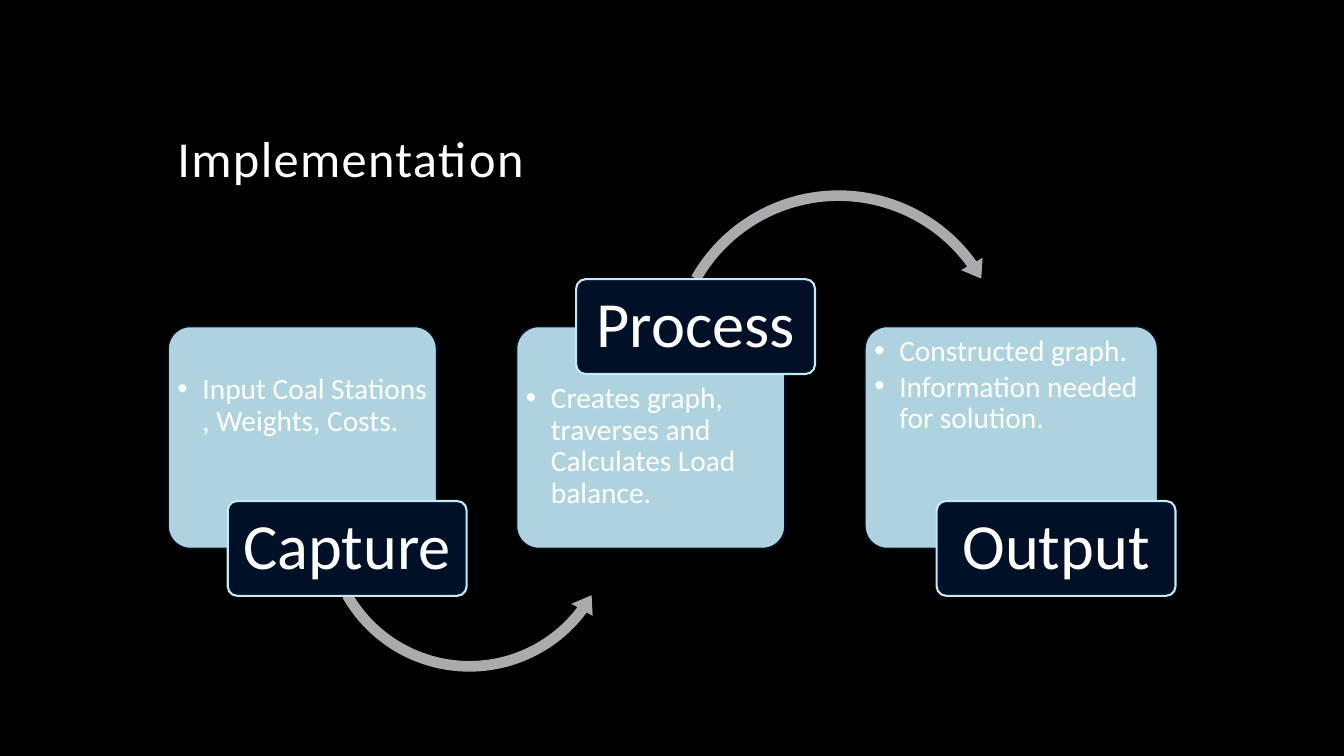
"""Build the Implementation slide: three linked steps on black."""
from lxml.etree import SubElement
from pptx import Presentation
from pptx.dml.color import RGBColor
from pptx.enum.shapes import MSO_SHAPE
from pptx.enum.text import MSO_ANCHOR, PP_ALIGN
from pptx.oxml.ns import qn
from pptx.util import Cm, Pt

TITLE = "Implementation"
LEFT_ARC = (MSO_SHAPE.LEFT_CIRCULAR_ARROW, 7.98, 9.4, 7.7,
            (0.035, 4.277, 22.032, 90.245, 0.04))
RIGHT_ARC = (MSO_SHAPE.CIRCULAR_ARROW, 16.69, 4.62, 8.89,
             (0.03, 3.657, 194.588, 125.755, 0.035))
STEPS = [
    {"name": "Capture", "items": ["Input Coal Stations , Weights, Costs."],
     "width": 6.76, "drop": 0.96, "high": False, "arc": LEFT_ARC},
    {"name": "Process",
     "items": ["Creates graph, traverses and Calculates Load balance."],
     "width": 6.76, "drop": 1.19, "high": True, "arc": RIGHT_ARC},
    {"name": "Output",
     "items": ["Constructed graph.", "Information needed for solution."],
     "width": 7.37, "drop": 0, "high": False, "arc": None},
]

BLACK = RGBColor(0x00, 0x00, 0x00)
WHITE = RGBColor(0xFF, 0xFF, 0xFF)
NAVY = RGBColor(0x00, 0x10, 0x27)
PALE = RGBColor(0xC1, 0xEB, 0xF7)
GREY = RGBColor(0xAB, 0xAB, 0xAD)

LEFT, PITCH = 4.24, 8.78
TOP, HEIGHT = 8.23, 5.59
TAG_W, TAG_H, TAG_DX = 6.02, 2.39, 1.88


def add_run(para, text, size):
    para.line_spacing = 0.9
    run = para.add_run()
    run.text = text
    run.font.name = "Calibri"
    run.font.size = Pt(size)
    run.font.color.rgb = WHITE
    return run


def set_frame(frame, anchor, side, top, base):
    frame.word_wrap = True
    frame.vertical_anchor = anchor
    frame.margin_left = frame.margin_right = Cm(side)
    frame.margin_top, frame.margin_bottom = Cm(top), Cm(base)


def add_form(slide, kind, rect, fill, line=None, weight=1):
    form = slide.shapes.add_shape(kind, *map(Cm, rect))
    form.shadow.inherit = False
    form.fill.solid()
    form.fill.fore_color.rgb = fill
    if line is None:
        form.line.fill.background()
    else:
        form.line.color.rgb = line
        form.line.width = Pt(weight)
    return form


def add_card(slide, x, step):
    rect = (x, TOP, step["width"], HEIGHT)
    card = add_form(slide, MSO_SHAPE.ROUNDED_RECTANGLE, rect, PALE, NAVY)
    card.adjustments[0] = 0.1
    tint = card.fill._xPr.find(qn("a:solidFill"))[0]
    SubElement(tint, qn("a:alpha")).set("val", "90000")
    frame = card.text_frame
    set_frame(frame, MSO_ANCHOR.TOP, 0.07, 0.07 + step["drop"], 0)
    for i, item in enumerate(step["items"]):
        para = frame.add_paragraph() if i else frame.paragraphs[0]
        para.alignment = PP_ALIGN.LEFT
        para.space_after = Pt(3)
        props = para._p.get_or_add_pPr()
        props.set("marL", str(Cm(0.63)))
        props.set("indent", str(-Cm(0.63)))
        SubElement(props, qn("a:buFont")).set("typeface", "Arial")
        SubElement(props, qn("a:buChar")).set("char", "•")
        add_run(para, item, 21)


def add_arc(slide, kind, x, y, size, values):
    arc = add_form(slide, kind, (x, y, size, size), GREY)
    for i, value in enumerate(values):
        arc.adjustments[i] = value


def add_tag(slide, x, step):
    edge = TOP if step["high"] else TOP + HEIGHT
    rect = (x + step["width"] / 2 - TAG_DX, edge - TAG_H / 2, TAG_W, TAG_H)
    tag = add_form(slide, MSO_SHAPE.ROUNDED_RECTANGLE, rect, NAVY, PALE, 1.5)
    tag.adjustments[0] = 0.1
    set_frame(tag.text_frame, MSO_ANCHOR.MIDDLE, 0.25, 0.15, 0.15)
    para = tag.text_frame.paragraphs[0]
    para.alignment = PP_ALIGN.CENTER
    add_run(para, step["name"], 46)


def main():
    deck = Presentation()
    deck.slide_width, deck.slide_height = Cm(33.87), Cm(19.05)
    slide = deck.slides.add_slide(deck.slide_layouts[6])
    slide.background.fill.solid()
    slide.background.fill.fore_color.rgb = BLACK

    box = slide.shapes.add_textbox(Cm(4.22), Cm(1.07), Cm(25.4), Cm(3.81))
    set_frame(box.text_frame, MSO_ANCHOR.BOTTOM, 0.25, 0.13, 0.13)
    run = add_run(box.text_frame.paragraphs[0], TITLE, 36)
    run.font._element.set("spc", "100")

    for i, step in enumerate(STEPS):
        x = LEFT + i * PITCH
        add_card(slide, x, step)
        if step["arc"]:
            add_arc(slide, *step["arc"])
        add_tag(slide, x, step)
    deck.save("out.pptx")


if __name__ == "__main__":
    main()
